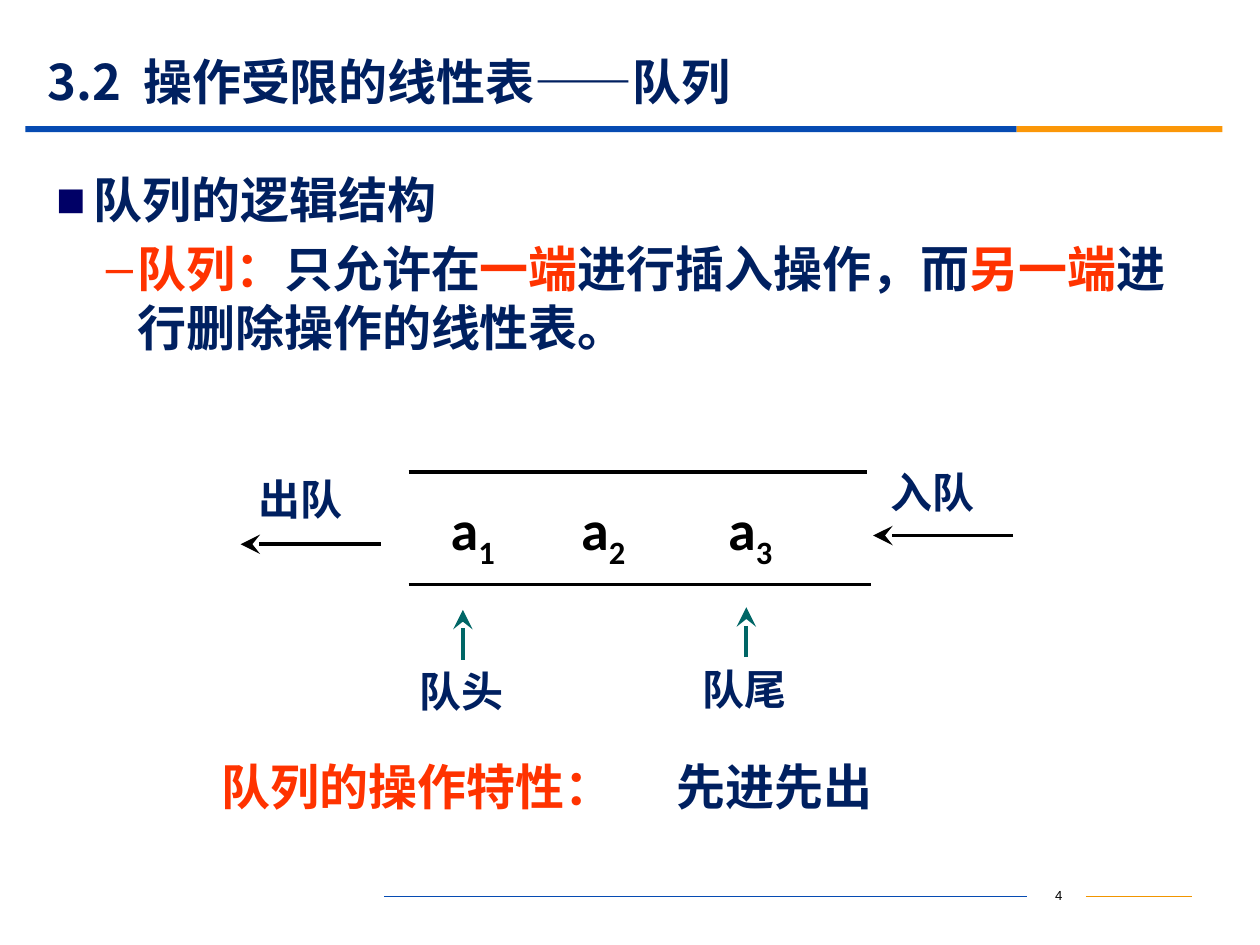
from lxml.etree import SubElement
from pptx import Presentation
from pptx.dml.color import RGBColor
from pptx.enum.shapes import MSO_CONNECTOR as Connector, MSO_SHAPE as Shape
from pptx.enum.text import MSO_ANCHOR as Anchor, PP_ALIGN as Align
from pptx.oxml.ns import qn
from pptx.util import Pt

CJK, NAVY, RED, BLACK = "Noto Sans CJK SC", "002060", "FF3300", "000000"
BLUE, ORANGE, TEAL = "064BB2", "FB9708", "006666"


def color(value):
    return RGBColor.from_string(value)


def style(font, size, name=CJK, bold=True):
    font.size, font.name, font.bold = Pt(size), name, bold
    SubElement(font._element, qn("a:ea"), typeface=name)


def add_spans(para, spans):
    for text, fill in spans:
        span = para.add_run()
        span.text = text
        span.font.color.rgb = color(fill)


def add_frame(page, box):
    frame = page.shapes.add_textbox(*map(Pt, box)).text_frame
    frame.word_wrap = True
    return frame


def add_label(page, box, text, size=24, fill=NAVY, align=Align.LEFT, name=CJK, bold=True):
    frame = add_frame(page, box)
    para = frame.paragraphs[0]
    para.alignment = align
    style(para.font, size, name, bold)
    add_spans(para, [(text, fill)])
    return frame


def add_line(page, start, end, fill, width=2.25, arrow=False):
    line = page.shapes.add_connector(Connector.STRAIGHT, *map(Pt, start + end))
    line.line.color.rgb = color(fill)
    line.line.width = Pt(width)
    if arrow:
        SubElement(line.line._get_or_add_ln(), qn("a:tailEnd"), type="stealth", w="lg", len="lg")
    SubElement(line._element.spPr, qn("a:effectLst"))


def add_bar(page, box, fill):
    bar = page.shapes.add_shape(Shape.RECTANGLE, *map(Pt, box))
    bar.shadow.inherit = False
    bar.fill.solid()
    bar.fill.fore_color.rgb = color(fill)
    bar.line.fill.background()


def add_bullet(para, char, fill, left, indent, level=0):
    para.level = level
    props = para._p.get_or_add_pPr()
    props.set("marL", str(Pt(left)))
    props.set("indent", str(Pt(indent)))
    SubElement(SubElement(props, qn("a:buClr")), qn("a:srgbClr"), val=fill)
    SubElement(props, qn("a:buFont"), typeface="Arial")
    SubElement(props, qn("a:buChar"), char=char)
    style(para.font, 28)


def draw_header(page, left, top, width):
    frame = add_label(page, (left + 5.5, top, 648, 31), "3.2  操作受限的线性表——队列", 28)
    frame.vertical_anchor = Anchor.MIDDLE
    split = 566.5
    add_bar(page, (left, top + 41, split, 3.5), BLUE)
    add_bar(page, (left + split, top + 41, width - split, 3.5), ORANGE)


def draw_definition(page, box):
    frame = add_frame(page, box)
    heading, body = frame.paragraphs[0], frame.add_paragraph()
    add_bullet(heading, "■", "000066", 21.5, -21.5)
    add_spans(heading, [("队列的逻辑结构", NAVY)])
    add_bullet(body, "–", RED, 46.5, -18, 1)
    body.space_before = Pt(5.6)
    add_spans(body, [
        ("队列：", RED), ("只允许在", NAVY), ("一端", RED), ("进行插入操作，而", NAVY),
        ("另一端", RED), ("进行删除操作的线性表。", NAVY),
    ])


def draw_queue(page, left, top, width, height):
    right, bottom = left + width, top + height
    add_line(page, (left, top), (right, top), BLACK)
    add_line(page, (left, bottom), (right + 2.5, bottom), BLACK)
    for number, offset in (("1", 17), ("2", 91.5), ("3", 175.5)):
        frame = add_label(page, (left + offset, top + 9.5, 45, 46), "a", 32, BLACK, name="Calibri")
        add_spans(frame.paragraphs[0], [(number, BLACK)])
        frame.paragraphs[0].runs[1].font._element.set("baseline", "-25000")
    for text, offset, drop in (("队头", 31, 14.5), ("队尾", 193, 13)):
        x, y = left + offset, bottom + drop
        add_line(page, (x, y + 28.5), (x, y), TEAL, arrow=True)
        add_label(page, (x - 38, y + 28.5, 74, 36), text, align=Align.CENTER)
    for text, x, y, rise in (("出队", left - 96, top + 41.5, 44), ("入队", right + 3.5, top + 36.5, 43)):
        add_line(page, (x + 80, y), (x, y), BLACK, arrow=True)
        add_label(page, (x + 3, y - rise, 74, 36), text)


def draw_property(page, left, top):
    add_label(page, (left, top, 253, 41), "队列的操作特性：", 28, RED)
    add_label(page, (left + 260, top, 162, 41), "先进先出", 28)


def draw_footer(page, left, middle, right):
    add_line(page, (left, middle), (587, middle), BLUE, 0.75)
    add_line(page, (620.5, middle), (right, middle), "F19500", 0.75)
    add_label(page, (588, middle - 9, 34, 18), "4", 7.5, BLACK, Align.CENTER, "Arial", False)


def main():
    deck = Presentation()
    deck.slide_width, deck.slide_height = Pt(720), Pt(540)
    page = deck.slides.add_slide(deck.slide_layouts[6])
    draw_header(page, 14.5, 31, 684)
    draw_definition(page, (25, 93.5, 648, 79))
    draw_queue(page, 233.5, 269.5, 262, 64.5)
    draw_property(page, 119.5, 429)
    draw_footer(page, 219.5, 512.5, 681)
    deck.save("out.pptx")


if __name__ == "__main__":
    main()
